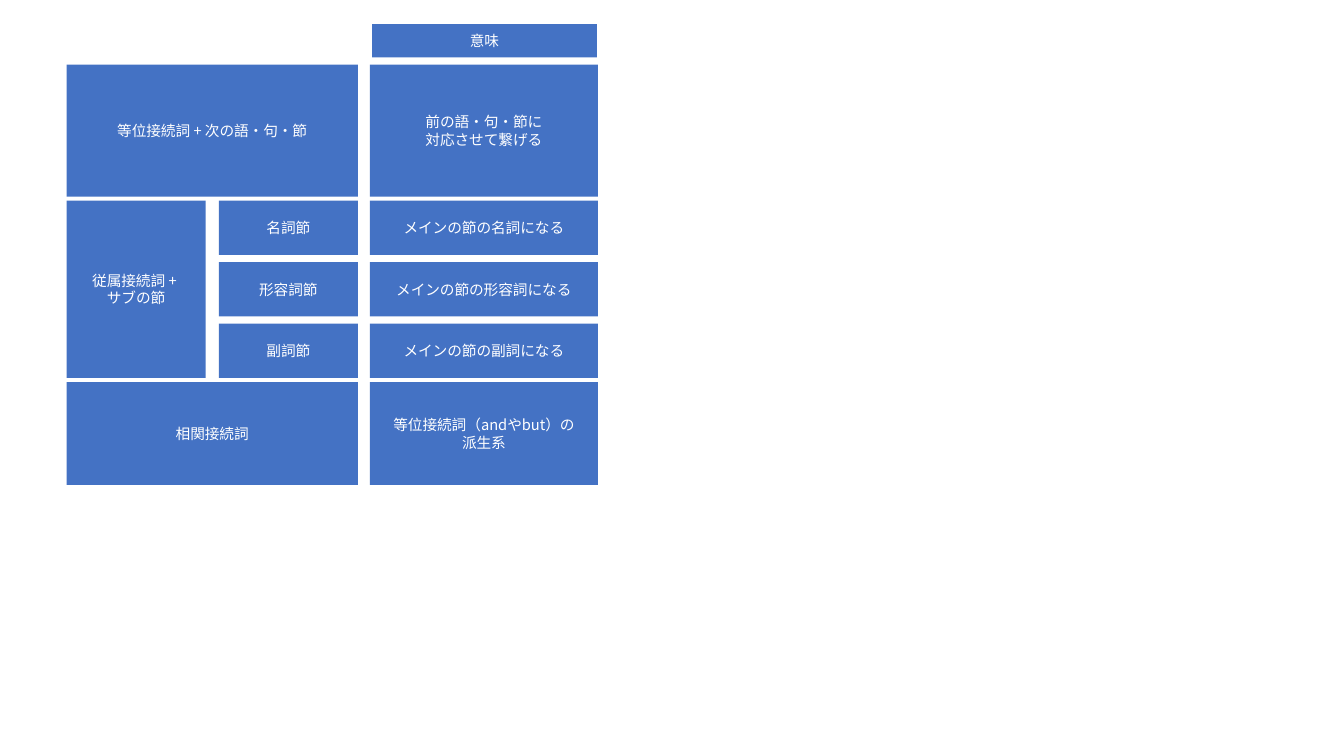
from lxml import etree
from pptx import Presentation
from pptx import util as u
from pptx.dml.color import RGBColor
from pptx.enum import shapes, text
from pptx.oxml.ns import qn

FONT = "Noto Sans CJK JP"


def color(hex_code):
    return RGBColor.from_string(hex_code)


def add_box(slide, left, top, width, height, label):
    shape = slide.shapes.add_shape(
        shapes.MSO_SHAPE.RECTANGLE, *map(u.Inches, (left, top, width, height)))
    shape.shadow.inherit = False
    shape.fill.solid()
    shape.fill.fore_color.rgb = color("4472C4")
    shape.line.fill.background()
    frame = shape.text_frame
    frame.word_wrap = True
    frame.vertical_anchor = text.MSO_ANCHOR.MIDDLE
    frame.text = label
    for paragraph in frame.paragraphs:
        paragraph.alignment = text.PP_ALIGN.CENTER
        for run in paragraph.runs:
            run.font.size = u.Pt(10.5)
            run.font.name = FONT
            run.font.color.rgb = color("FFFFFF")
            # East Asian typeface
            etree.SubElement(run.font._element, qn("a:ea"), typeface=FONT)


presentation = Presentation()
presentation.slide_width = u.Inches(13.33)
presentation.slide_height = u.Inches(7.5)
slide = presentation.slides.add_slide(presentation.slide_layouts[6])

# Grid: type, clause and meaning columns
type_left, clause_left, meaning_left = 0.66, 2.17, 3.67
column_width, meaning_width = 1.38, 2.26
wide_width = clause_left + column_width - type_left
clause_top, clause_height, clause_step = 1.99, 0.54, 0.61

# Column heading
add_box(slide, 3.69, 0.24, 2.23, 0.33, "意味")

# Coordinating and correlative conjunctions
wide_rows = [
    (0.64, 1.31, "等位接続詞 + 次の語・句・節", "前の語・句・節に\n対応させて繋げる"),
    (3.79, 1.02, "相関接続詞", "等位接続詞（andやbut）の\n派生系"),
]
for top, height, conjunction, meaning in wide_rows:
    add_box(slide, type_left, top, wide_width, height, conjunction)
    add_box(slide, meaning_left, top, meaning_width, height, meaning)

# Subordinating conjunctions, one row per kind of clause
parts_of_speech = ["名詞", "形容詞", "副詞"]
subordinate_height = clause_step * (len(parts_of_speech) - 1) + clause_height
add_box(slide, type_left, clause_top, column_width, subordinate_height,
        "従属接続詞 + \nサブの節")
for row, part in enumerate(parts_of_speech):
    top = clause_top + row * clause_step
    add_box(slide, clause_left, top, column_width, clause_height, f"{part}節")
    add_box(slide, meaning_left, top, meaning_width, clause_height,
            f"メインの節の{part}になる")

presentation.save("out.pptx")
